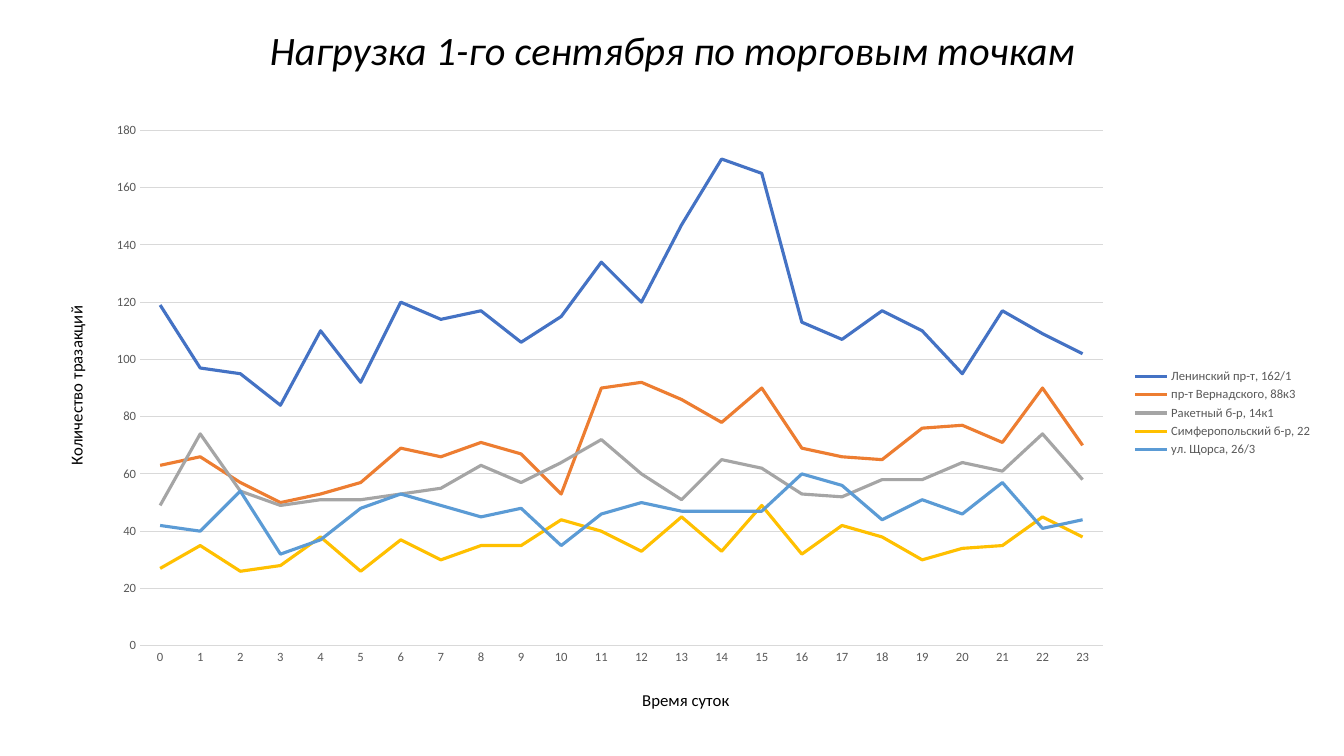
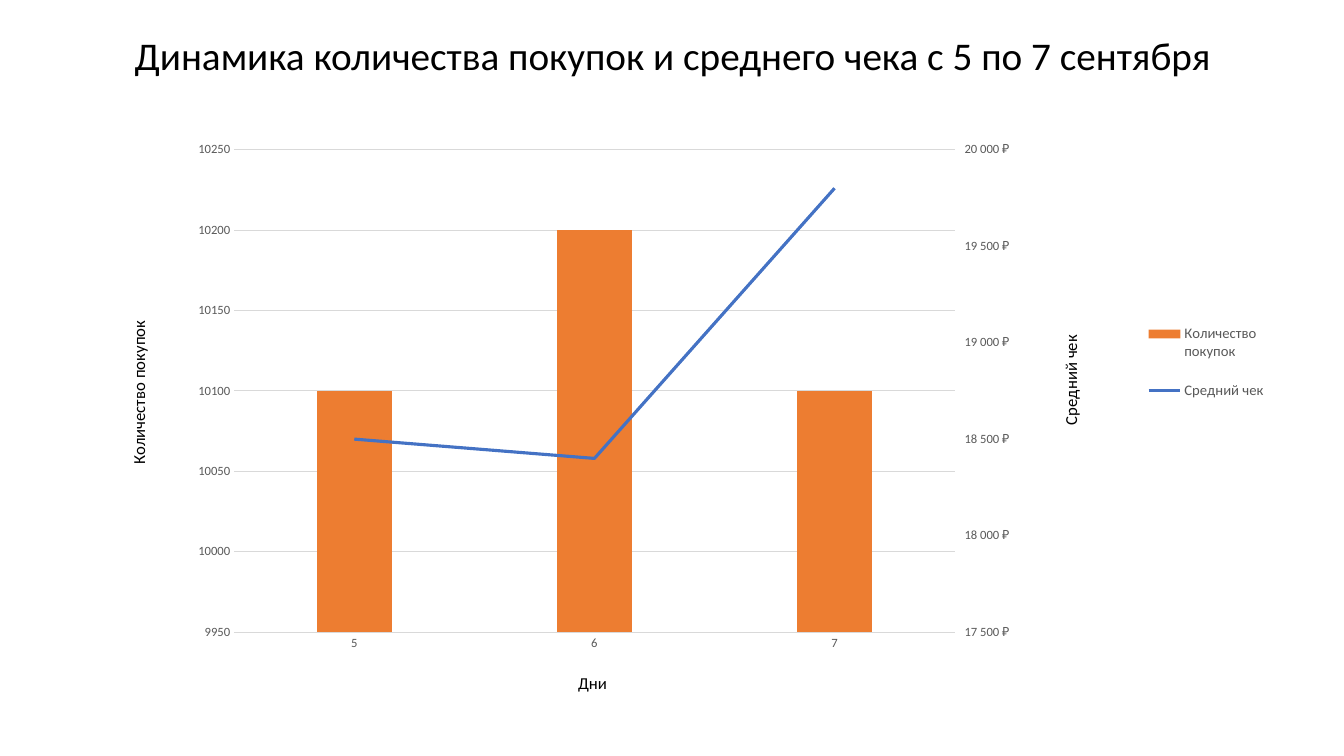
from copy import deepcopy
from dataclasses import dataclass

from lxml.etree import SubElement as Sub
from pptx import Presentation
from pptx.chart.axis import CategoryAxis as CatAxis, ValueAxis as ValAxis
from pptx.chart.data import CategoryChartData as Data
from pptx.dml.color import RGBColor as RGB
from pptx.enum.chart import (XL_CHART_TYPE as Kind, XL_LEGEND_POSITION as Side,
                             XL_MARKER_STYLE as Mark, XL_TICK_MARK as Tick)
from pptx.enum.text import MSO_ANCHOR as Anchor, MSO_AUTO_SIZE as Fit, PP_ALIGN as Align
from pptx.oxml.ns import qn
from pptx.util import Inches, Pt

# Shared style
FACE = "Calibri"
BLACK = RGB(0x00, 0x00, 0x00)
GREY = RGB(0x59, 0x59, 0x59)
RULE = RGB(0xD9, 0xD9, 0xD9)
BLUE = RGB(0x44, 0x72, 0xC4)
ORANGE = RGB(0xED, 0x7D, 0x31)
SILVER = RGB(0xA5, 0xA5, 0xA5)
GOLD = RGB(0xFF, 0xC0, 0x00)
SKY = RGB(0x5B, 0x9B, 0xD5)


@dataclass
class Head:
    text: str
    top: float
    high: float
    size: float
    slant: bool = False


@dataclass
class Line:
    name: str
    vals: list[int]
    color: RGB


@dataclass
class Scale:
    title: str
    spot: tuple[float, float]
    low: int = 0
    high: int = 0
    step: int = 0
    form: str = "0"


@dataclass
class Frame:
    box: tuple[float, float, float, float]
    plot: tuple[float, float, float, float]
    key: tuple[float, float, float, float]
    size: float


LOAD = [
    Line("Ленинский пр-т, 162/1",
         [119, 97, 95, 84, 110, 92, 120, 114, 117, 106, 115, 134,
          120, 147, 170, 165, 113, 107, 117, 110, 95, 117, 109, 102], BLUE),
    Line("пр-т Вернадского, 88к3",
         [63, 66, 57, 50, 53, 57, 69, 66, 71, 67, 53, 90,
          92, 86, 78, 90, 69, 66, 65, 76, 77, 71, 90, 70], ORANGE),
    Line("Ракетный б-р, 14к1",
         [49, 74, 54, 49, 51, 51, 53, 55, 63, 57, 64, 72,
          60, 51, 65, 62, 53, 52, 58, 58, 64, 61, 74, 58], SILVER),
    Line("Симферопольский б-р, 22",
         [27, 35, 26, 28, 38, 26, 37, 30, 35, 35, 44, 40,
          33, 45, 33, 49, 32, 42, 38, 30, 34, 35, 45, 38], GOLD),
    Line("ул. Щорса, 26/3",
         [42, 40, 54, 32, 37, 48, 53, 49, 45, 48, 35, 46,
          50, 47, 47, 47, 60, 56, 44, 51, 46, 57, 41, 44], SKY),
]
SALES = [
    Line("Количество покупок", [10100, 10200, 10100], ORANGE),
    Line("Средний чек", [18500, 18400, 19800], BLUE),
]


def put(item, form: dict) -> None:
    for name, val in form.items():
        setattr(item, name, val)


def style(font, size: float, color: RGB) -> None:
    put(font, {"name": FACE, "size": Pt(size), "bold": False})
    font.color.rgb = color


def pin(node, spot: tuple, inner: bool = False) -> None:
    """Place a chart part by fractions of the chart: x, y and maybe w, h."""
    for old in node.findall(qn("c:layout")):
        node.remove(old)
    lay = Sub(node, qn("c:layout"))
    man = Sub(lay, qn("c:manualLayout"))
    parts = [("layoutTarget", "inner")] if inner else []
    parts += [("xMode", "edge"), ("yMode", "edge"), *zip("xywh", spot)]
    for tag, val in parts:
        Sub(man, qn(f"c:{tag}")).set("val", str(val))
    over = node.find(qn("c:overlay"))
    if over is None:
        node.insert(0, lay)
    else:
        over.addprevious(lay)


def add_head(deck, head: Head):
    page = deck.slides.add_slide(deck.slide_layouts[5])
    title = page.shapes.title
    put(title, {"left": Inches(0.92), "top": Inches(head.top),
                "width": Inches(11.5), "height": Inches(head.high)})
    frame = title.text_frame
    put(frame, {"text": head.text, "word_wrap": True, "auto_size": Fit.NONE,
                "vertical_anchor": Anchor.MIDDLE})
    para = frame.paragraphs[0]
    put(para, {"alignment": Align.CENTER, "line_spacing": 0.9})
    style(para.runs[0].font, head.size, BLACK)
    para.runs[0].font.italic = head.slant
    return page


def add_plot(page, kind, cats: list[str], rows: list[Line], frame: Frame):
    data = Data()
    data.categories = cats
    for row in rows:
        data.add_series(row.name, row.vals)
    chart = page.shapes.add_chart(kind, *map(Inches, frame.box), data).chart
    put(chart, {"has_title": False, "has_legend": True})
    style(chart.font, 10, BLACK)
    put(chart.legend, {"position": Side.RIGHT, "include_in_layout": False})
    style(chart.legend.font, frame.size, GREY)
    chart.plots[0].vary_by_categories = False
    root = chart.element
    pin(root.find(".//" + qn("c:plotArea")), frame.plot, inner=True)
    pin(root.find(".//" + qn("c:legend")), frame.key)
    return chart


def set_axis(axis, scale: Scale, turn: bool = True) -> None:
    put(axis, {"has_title": True, "major_tick_mark": Tick.NONE,
               "minor_tick_mark": Tick.NONE})
    style(axis.tick_labels.font, 9, GREY)
    name = axis.axis_title
    name.text_frame.text = scale.title
    style(name.text_frame.paragraphs[0].runs[0].font, 12, BLACK)
    pin(name.element, scale.spot)
    if turn:
        body = name.element.find(".//" + qn("a:bodyPr"))
        body.set("rot", "-5400000")
        body.set("vert", "horz")
        put(axis, {"minimum_scale": scale.low, "maximum_scale": scale.high,
                   "major_unit": scale.step})
        put(axis.tick_labels, {"number_format": scale.form,
                               "number_format_is_linked": False})
        axis.format.line.fill.background()
    else:
        rule(axis.format.line)


def rule(line, color: RGB = RULE, width: float = 0.75) -> None:
    line.color.rgb = color
    line.width = Pt(width)


def set_grid(axis) -> None:
    axis.has_major_gridlines = True
    rule(axis.major_gridlines.format.line)


def draw(ser, row: Line) -> None:
    rule(ser.format.line, row.color, 2.25)
    ser.marker.style = Mark.NONE
    ser.smooth = False


def add_right(chart) -> ValAxis:
    """Move the last column series to a line on a second value axis."""
    root = chart.element
    bar, cat, val = (root.find(".//" + qn(tag))
                     for tag in ("c:barChart", "c:catAx", "c:valAx"))
    ser = bar.findall(qn("c:ser"))[-1]
    line = bar.makeelement(qn("c:lineChart"))
    bar.addnext(line)
    Sub(line, qn("c:grouping")).set("val", "standard")
    Sub(line, qn("c:varyColors")).set("val", "0")
    line.append(ser)
    flip = ser.find(qn("c:invertIfNegative"))
    if flip is not None:
        ser.remove(flip)
    Sub(line, qn("c:marker")).set("val", "1")
    for own in ("5001", "5002"):
        Sub(line, qn("c:axId")).set("val", own)
    base, right = deepcopy(cat), deepcopy(val)
    for node, own, other in ((base, "5001", "5002"), (right, "5002", "5001")):
        node.find(qn("c:axId")).set("val", own)
        node.find(qn("c:crossAx")).set("val", other)
    right.find(qn("c:axPos")).set("val", "r")
    right.find(qn("c:crosses")).set("val", "max")
    val.addnext(right)
    right.addnext(base)
    CatAxis(base).visible = False
    axis = ValAxis(right)
    axis.has_major_gridlines = False
    return axis


def add_load(deck) -> None:
    page = add_head(deck, Head("Нагрузка 1-го сентября по торговым точкам",
                               0.15, 0.75, 28.8, True))
    frame = Frame((0.6, 1.14, 12.53, 5.96), (0.063, 0.026, 0.762, 0.864),
                  (0.845, 0.42, 0.15, 0.16), 9)
    hours = [str(hour) for hour in range(24)]
    chart = add_plot(page, Kind.LINE, hours, LOAD, frame)
    set_axis(chart.category_axis, Scale("Время суток", (0.458, 0.957)), False)
    set_axis(chart.value_axis,
             Scale("Количество тразакций", (0.001, 0.317), 0, 180, 20))
    set_grid(chart.value_axis)
    for ser, row in zip(chart.plots[0].series, LOAD):
        draw(ser, row)


def add_sales(deck) -> None:
    page = add_head(deck, Head(
        "Динамика количества покупок и среднего чека с 5 по 7 сентября",
        0.24, 0.66, 28))
    frame = Frame((0.92, 1.06, 11.99, 5.87), (0.117, 0.073, 0.596, 0.821),
                  (0.861, 0.335, 0.12, 0.2), 10.5)
    chart = add_plot(page, Kind.COLUMN_CLUSTERED, ["5", "6", "7"], SALES, frame)
    left = chart.value_axis
    right = add_right(chart)
    set_axis(chart.category_axis, Scale("Дни", (0.399, 0.956)), False)
    set_axis(left, Scale("Количество покупок", (0.026, 0.36), 9950, 10250, 50))
    set_axis(right, Scale("Средний чек", (0.797, 0.384),
                          17500, 20000, 500, '00 000" ₽"'))
    right.major_tick_mark = Tick.OUTSIDE
    set_grid(left)
    bars, line = chart.plots
    put(bars, {"gap_width": 219, "overlap": -27})
    fill = bars.series[0].format.fill
    fill.solid()
    fill.fore_color.rgb = SALES[0].color
    draw(line.series[0], SALES[1])


def main() -> None:
    deck = Presentation()
    put(deck, {"slide_width": Inches(13.33), "slide_height": Inches(7.5)})
    add_load(deck)
    add_sales(deck)
    deck.save("out.pptx")


if __name__ == "__main__":
    main()
